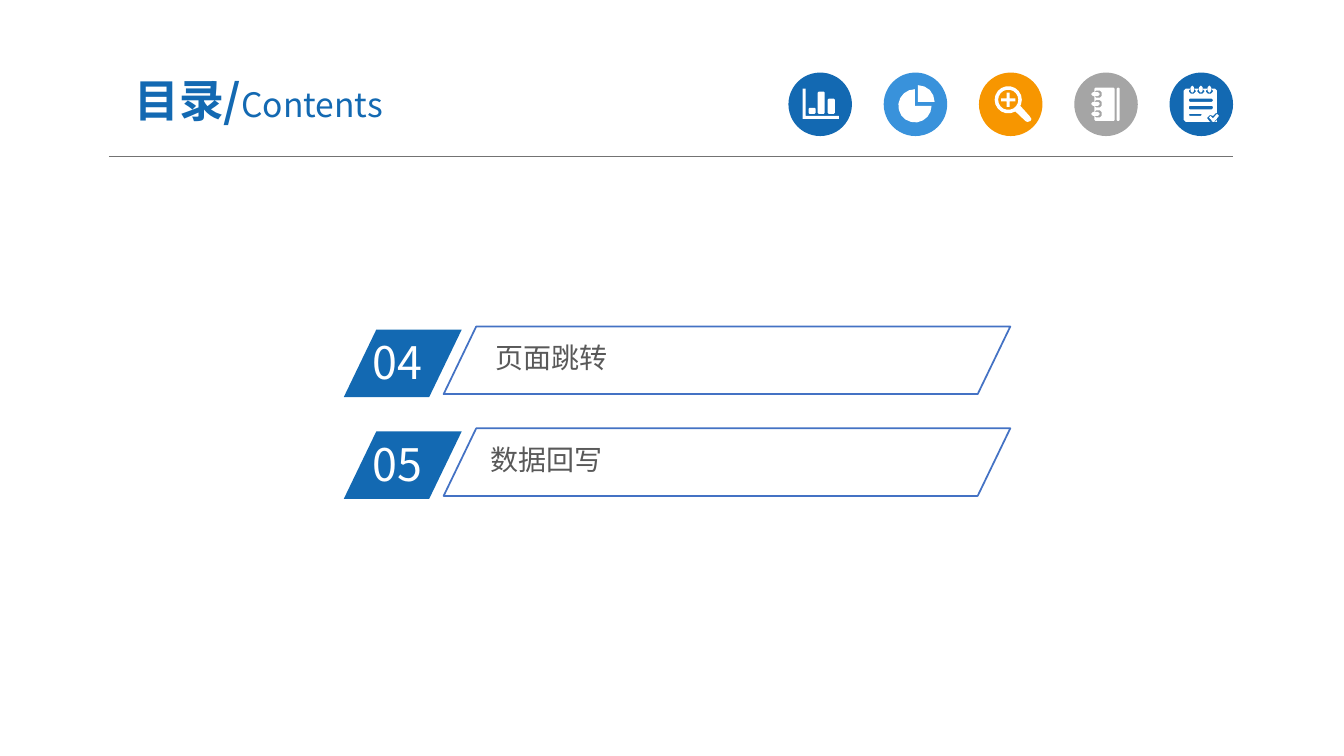
from dataclasses import dataclass
from math import cos, radians, sin

from lxml import etree
from pptx import Presentation
from pptx.dml.color import RGBColor
from pptx.enum.shapes import MSO_CONNECTOR, MSO_SHAPE
from pptx.enum.text import MSO_ANCHOR, MSO_AUTO_SIZE, PP_ALIGN
from pptx.oxml.ns import qn
from pptx.util import Inches, Pt

OVAL = MSO_SHAPE.OVAL
PARALLELOGRAM = MSO_SHAPE.PARALLELOGRAM
STRAIGHT = MSO_CONNECTOR.STRAIGHT
MIDDLE = MSO_ANCHOR.MIDDLE
NO_AUTOFIT = MSO_AUTO_SIZE.NONE
LEFT, CENTER = PP_ALIGN.LEFT, PP_ALIGN.CENTER


@dataclass(frozen=True)
class Theme:
    font: str = "Noto Sans CJK SC"
    blue: str = "1369B2"
    sky: str = "3992DB"
    orange: str = "F79600"
    gray: str = "A5A5A5"
    outline: str = "4472C4"
    rule: str = "737373"
    text: str = "595959"
    white: str = "FFFFFF"
    large: int = 32
    medium: int = 24
    label: int = 20


THEME = Theme()
SLANT = 0.482
ICON_SIZE = 0.63
ICON_UNIT = 0.01  # icon coordinates are hundredths of an inch
PRECISION = 10


# Shared helpers
def color(value):
    return RGBColor.from_string(value)


def style_paragraph(paragraph, font_color, size=None):
    font = paragraph.font
    font.name = THEME.font
    font.color.rgb = color(font_color)
    if size:
        font.size = Pt(size)
    properties = paragraph._p.pPr.find(qn("a:defRPr"))
    etree.SubElement(properties, qn("a:ea")).set("typeface", THEME.font)


def add_text(slide, box, text, font_color, size, inset=(0.1, 0.05)):
    frame = slide.shapes.add_textbox(*map(Inches, box)).text_frame
    frame.word_wrap = True
    frame.margin_left = frame.margin_right = Inches(inset[0])
    frame.margin_top = frame.margin_bottom = Inches(inset[1])
    paragraph = frame.paragraphs[0]
    paragraph.text = text
    paragraph.alignment = LEFT
    style_paragraph(paragraph, font_color, size)


def fill_plain(shape, fill):
    shape.shadow.inherit = False
    shape.fill.solid()
    shape.fill.fore_color.rgb = color(fill)
    shape.line.fill.background()


def add_filled_shape(slide, kind, box, fill):
    shape = slide.shapes.add_shape(kind, *map(Inches, box))
    fill_plain(shape, fill)
    return shape


# Contours of the icon drawings
def arc(x, y, radius, start=0, end=360, step=20):
    steps = (end - start) // step
    angles = [radians(start + (end - start) * i / steps) for i in range(steps + 1)]
    return [(x + radius * cos(a), y + radius * sin(a)) for a in angles]


def bar(left, top, right, bottom, radius=1):
    """Rectangle with softened corners."""
    corners = [(right - radius, bottom - radius, 0), (left + radius, bottom - radius, 90),
               (left + radius, top + radius, 180), (right - radius, top + radius, 270)]
    return [point for x, y, start in corners
            for point in arc(x, y, radius, start, start + 90, 90)]


def column_chart():
    axes = [(14, 16), (17, 16), (17, 43), (50, 43), (50, 46), (14, 46)]
    return [axes, bar(20, 35, 27, 41), bar(29, 19, 36, 41), bar(39, 26, 46, 41)]


def pie_chart():
    return [[(31, 33)] + arc(31, 33, 16.5, 0, 270),
            [(34, 29)] + arc(34, 29, 16.5, 270, 360)]


def magnifier():
    x, y, arm, half = 29, 27, 7, 1.5
    plus = [(x - arm, y - half), (x - half, y - half), (x - half, y - arm),
            (x + half, y - arm), (x + half, y - half), (x + arm, y - half),
            (x + arm, y + half), (x + half, y + half), (x + half, y + arm),
            (x - half, y + arm), (x - half, y + half), (x - arm, y + half)]
    handle = [(36, 38.5), (38.6, 36.6), (41, 33), (50, 43), (52, 46),
              (51, 48), (48, 49), (46, 48)]
    return [arc(x, y, 13.5), arc(x, y, 10), plus, handle]


def notebook():
    contours = [bar(20, 15, 40, 48), bar(42, 15, 45, 48)]
    for middle in (21.5, 31, 41):
        contours += [bar(20, middle - 3.5, 27, middle + 3.5, 1.5),
                     bar(17, middle - 2, 25, middle + 2, 1.5)]
    return contours


def notepad():
    contours = [bar(14, 16, 47, 49, 2)]
    contours += [bar(19, 26, 43, 29), bar(19, 33, 43, 36.5), bar(19, 41, 32, 43)]
    for middle in (22.5, 31, 39.5):
        contours += [bar(middle - 3.5, 16, middle + 3.5, 21, 2),
                     bar(middle - 1.7, 13, middle + 1.7, 20, 1.6)]
    notch = [(37, 45), (40, 42), (43, 43), (46, 40), (47, 40), (47, 49), (40, 49)]
    tick = [(39, 44.5), (40.5, 43), (43, 45.5), (47, 41), (49, 43), (44, 49), (43, 49)]
    return contours + [notch, tick]


# Header regions
def add_icon(slide, left, top, fill, contours):
    add_filled_shape(slide, OVAL, (left, top, ICON_SIZE, ICON_SIZE), fill)
    scaled = [[(round(x * PRECISION), round(y * PRECISION)) for x, y in contour]
              for contour in contours]
    builder = slide.shapes.build_freeform(
        *scaled[0][0], scale=Inches(ICON_UNIT) / PRECISION)
    builder.add_line_segments(scaled[0][1:])
    for contour in scaled[1:]:
        builder.move_to(*contour[0])
        builder.add_line_segments(contour[1:])
    fill_plain(builder.convert_to_shape(Inches(left), Inches(top)), THEME.white)


def add_icon_row(slide, left, top, pitch):
    icons = [(THEME.blue, column_chart), (THEME.sky, pie_chart),
             (THEME.orange, magnifier), (THEME.gray, notebook),
             (THEME.blue, notepad)]
    for index, (fill, draw) in enumerate(icons):
        add_icon(slide, left + index * pitch, top, fill, draw())


def add_rule(slide, left, right, y):
    line = slide.shapes.add_connector(
        STRAIGHT, Inches(left), Inches(y), Inches(right), Inches(y))
    line.line.color.rgb = color(THEME.rule)
    line.line.width = Pt(0.5)
    etree.SubElement(line._element.spPr, qn("a:effectLst"))


def add_title(slide, box):
    title = slide.shapes.title
    title.left, title.top, title.width, title.height = map(Inches, box)
    frame = title.text_frame
    frame.auto_size = NO_AUTOFIT
    frame.vertical_anchor = MIDDLE
    frame.margin_left = frame.margin_right = Inches(0.13)
    frame.margin_top = frame.margin_bottom = Inches(0.07)
    paragraph = frame.paragraphs[0]
    paragraph.alignment = CENTER
    style_paragraph(paragraph, THEME.blue)
    for text, size, bold in (("目录/", THEME.large, True),
                             ("Contents", THEME.medium, False)):
        run = paragraph.add_run()
        run.text = text
        run.font.size = Pt(size)
        run.font.bold = bold


# One entry of the contents list
def add_entry(slide, left, top, number, label, indent):
    badge = add_filled_shape(
        slide, PARALLELOGRAM, (left, top + 0.03, 1.17, 0.67), THEME.blue)
    add_text(slide, (left + 0.19, top + 0.03, 1.12, 0.64),
             number, THEME.white, THEME.large)
    add_text(slide, (left + indent, top + 0.1, 4.12, 0.41),
             label, THEME.text, THEME.label, inset=(0.07, 0.04))
    frame = slide.shapes.add_shape(
        PARALLELOGRAM, *map(Inches, (left + 0.99, top, 5.62, 0.67)))
    frame.shadow.inherit = False
    frame.fill.background()
    frame.line.color.rgb = color(THEME.outline)
    frame.line.width = Pt(1.25)
    badge.adjustments[0] = frame.adjustments[0] = SLANT


def main():
    presentation = Presentation()
    presentation.slide_width, presentation.slide_height = Inches(13.33), Inches(7.5)
    slide = presentation.slides.add_slide(presentation.slide_layouts[5])
    add_rule(slide, 1.08, 12.23, 1.55)
    add_icon_row(slide, 7.82, 0.72, 0.945)
    add_title(slide, (0.92, 0.63, 3.29, 0.72))
    entries = [("04", "页面跳转", 1.43), ("05", "数据回写", 1.38)]
    for index, entry in enumerate(entries):
        add_entry(slide, 3.41, 3.24 + index * 1.01, *entry)
    presentation.save("out.pptx")


if __name__ == "__main__":
    main()
